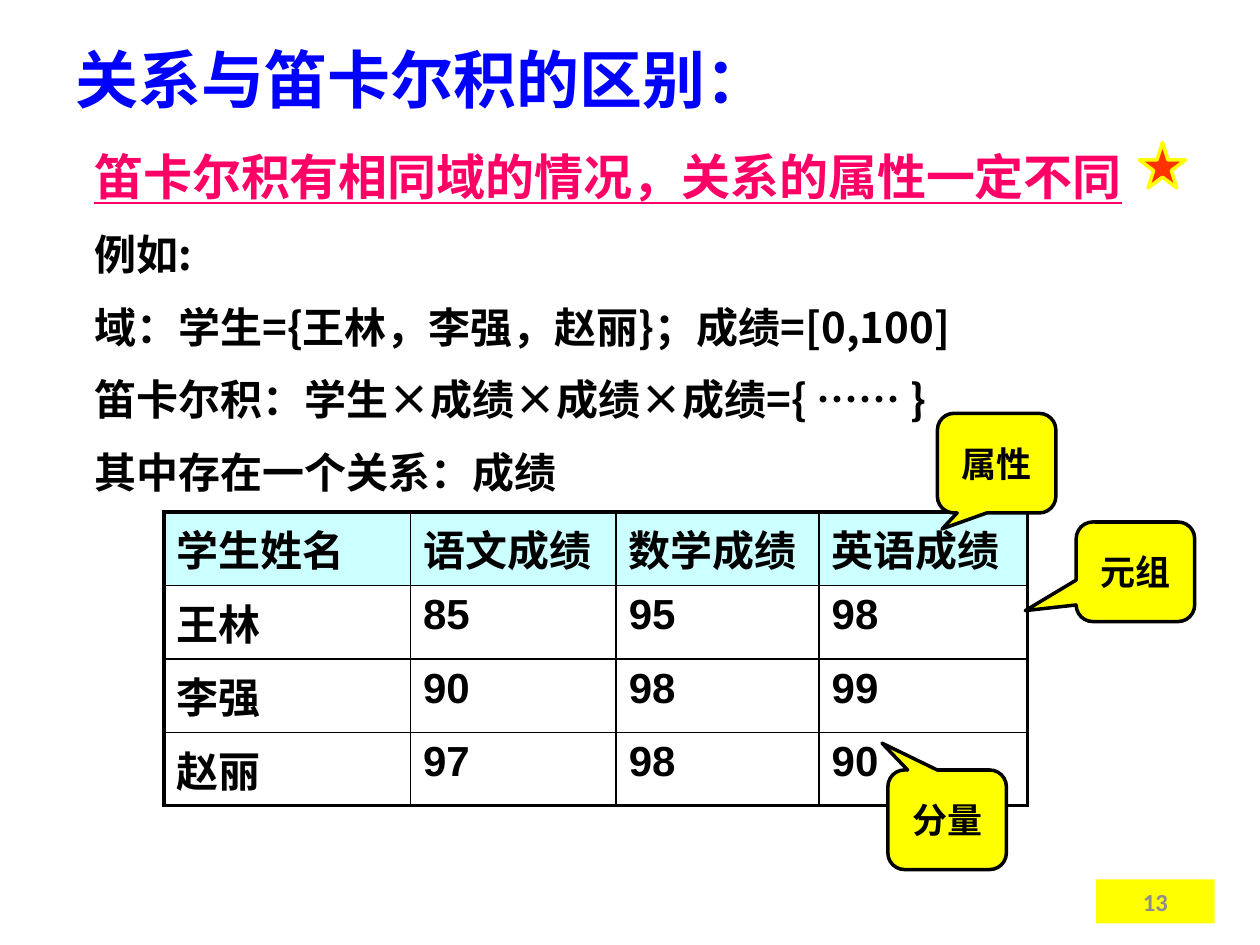
import pptx
import pptx.util
import pptx.dml.color
import pptx.enum.shapes
import pptx.enum.text
import pptx.oxml.ns
from lxml import etree

Pt = pptx.util.Pt
Kind = pptx.enum.shapes.MSO_SHAPE
Align = pptx.enum.text.PP_ALIGN
Anchor = pptx.enum.text.MSO_ANCHOR
qn = pptx.oxml.ns.qn
NOTO = "Noto Sans CJK SC"
COLORS = {"blue": "0000FF", "pink": "FF0066", "black": "000000", "gray": "8C8C8C",
          "yellow": "FFFF00", "cyan": "CCFFFF", "red": "FF3300"}


def rgb(name):
    return pptx.dml.color.RGBColor.from_string(COLORS[name])


def write(para, text, size, color, face=NOTO, **form):
    """Add one bold run, with the CJK font for East Asian letters."""
    run = para.add_run()
    run.text = text
    for key, value in {"size": Pt(size), "name": face, "bold": True, **form}.items():
        setattr(run.font, key, value)
    run.font.color.rgb = rgb(color)
    east = etree.Element(qn("a:ea"), typeface=NOTO)
    run.font._element.find(qn("a:latin")).addnext(east)


deck = pptx.Presentation()
deck.slide_width, deck.slide_height = Pt(720), Pt(540)
slide = deck.slides.add_slide(deck.slide_layouts[6])
shapes = slide.shapes

# Page number
badge = shapes.add_shape(Kind.RECTANGLE, Pt(626.4), Pt(502.5), Pt(67.7), Pt(25.2))
badge.shadow.inherit = False
badge.fill.solid()
badge.fill.fore_color.rgb = rgb("yellow")
badge.line.fill.background()
badge.text_frame.vertical_anchor = Anchor.MIDDLE
para = badge.text_frame.paragraphs[0]
para.alignment = Align.CENTER
write(para, "13", 14, "gray", "Calibri")

# Title
title = shapes.add_textbox(Pt(36), Pt(20), Pt(613.5), Pt(55.5)).text_frame
title.word_wrap = True
title.vertical_anchor = Anchor.MIDDLE
title.paragraphs[0].line_spacing = 0.9
write(title.paragraphs[0], "关系与笛卡尔积的区别：", 36, "blue")

# Body
body = shapes.add_textbox(Pt(46.8), Pt(77), Pt(623.5), Pt(391)).text_frame
body.word_wrap = True
lines = ["笛卡尔积有相同域的情况，关系的属性一定不同", "例如:",
         "域：学生={王林，李强，赵丽}；成绩=[0,100]",
         "笛卡尔积：学生×成绩×成绩×成绩={ …… }", "其中存在一个关系：成绩"]
for i, line in enumerate(lines):
    para = body.add_paragraph() if i else body.paragraphs[0]
    para.line_spacing = 1.1
    if i:
        para.space_before = Pt(10)
        write(para, line, 24, "black")
    else:
        write(para, line, 28, "pink", underline=True)

# Score table
rows = [["学生姓名", "语文成绩", "数学成绩", "英语成绩"],
        ["王林", "85", "95", "98"],
        ["李强", "90", "98", "99"],
        ["赵丽", "97", "98", "90"]]
widths = [141, 117.5, 116, 119]
high = 42
table = shapes.add_table(len(rows), len(widths), Pt(93.6), Pt(292.5),
                         Pt(sum(widths)), Pt(high * len(rows))).table
table.first_row = table.horz_banding = False
for col, width in zip(table.columns, widths):
    col.width = Pt(width)
for r, row in enumerate(rows):
    table.rows[r].height = Pt(high)
    for c, text in enumerate(row):
        cell = table.cell(r, c)
        write(cell.text_frame.paragraphs[0], text, 24, "black", "Arial")
        outer = {"lnL": c == 0, "lnR": c == len(row) - 1,
                 "lnT": r == 0, "lnB": r == len(rows) - 1}
        props = cell._tc.get_or_add_tcPr()
        for tag, edge in outer.items():
            rule = etree.SubElement(props, qn("a:" + tag), w=str(Pt(2.25 if edge else 1)))
            paint = etree.SubElement(rule, qn("a:solidFill"))
            etree.SubElement(paint, qn("a:srgbClr"), val=COLORS["black"])
        if r == 0:
            cell.fill.solid()
            cell.fill.fore_color.rgb = rgb("cyan")
        else:
            cell.fill.background()

# Callouts and star
marks = [(Kind.ROUNDED_RECTANGULAR_CALLOUT, "属性", 535.7, 236.2, (-0.46, 0.66)),
         (Kind.ROUNDED_RECTANGULAR_CALLOUT, "元组", 615, 298.3, (-0.93, 0.39)),
         (Kind.ROUNDED_RECTANGULAR_CALLOUT, "分量", 507.4, 440, (-0.55, -0.77)),
         (Kind.STAR_5_POINT, "", 651, 81.4, ())]
for kind, text, left, top, tip in marks:
    wide, tall = (67.7, 56.9) if text else (26.6, 26)
    mark = shapes.add_shape(kind, Pt(left), Pt(top), Pt(wide), Pt(tall))
    mark.shadow.inherit = False
    for i, value in enumerate(tip):
        mark.adjustments[i] = value
    mark.fill.solid()
    mark.fill.fore_color.rgb = rgb("yellow" if text else "red")
    mark.line.color.rgb = rgb("black" if text else "yellow")
    mark.line.width = Pt(2)
    if text:
        mark.text_frame.vertical_anchor = Anchor.MIDDLE
        para = mark.text_frame.paragraphs[0]
        para.alignment = Align.CENTER
        write(para, text, 20, "black", "Times New Roman")

deck.save("out.pptx")
